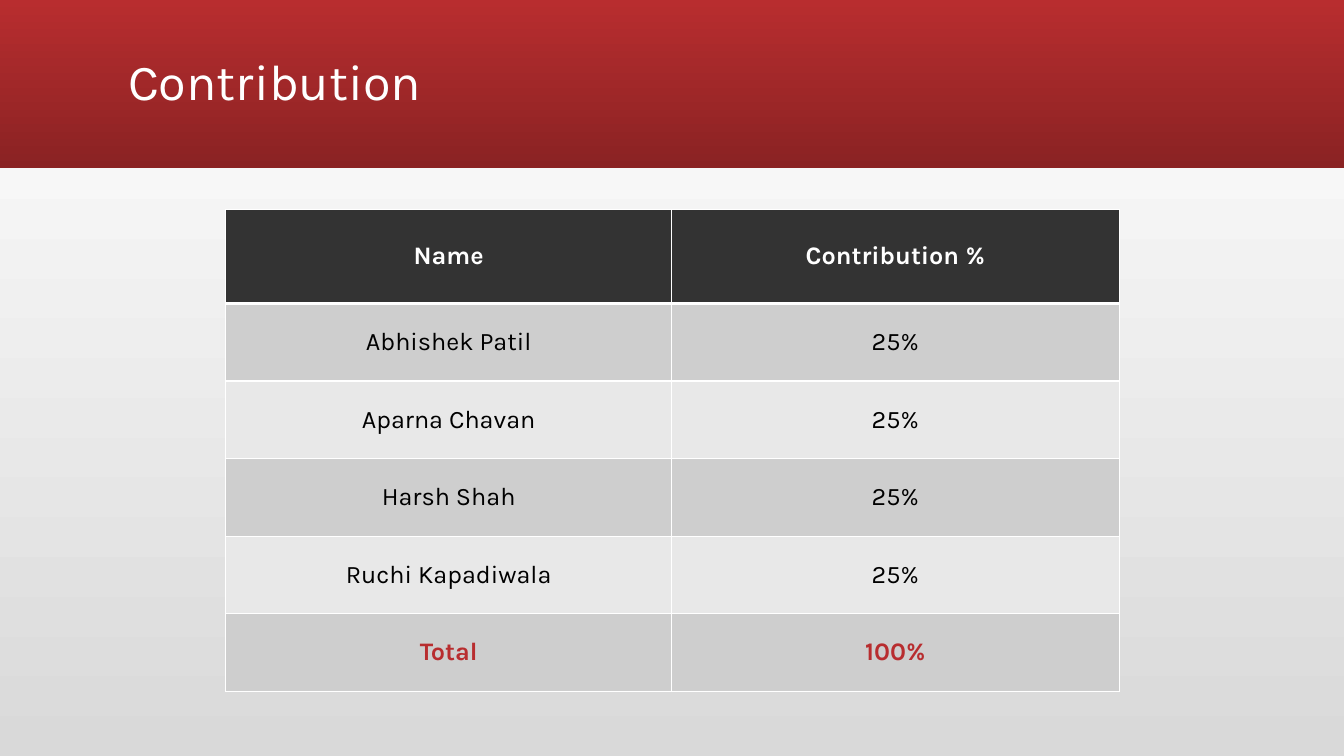
from dataclasses import dataclass

from lxml.etree import SubElement
from pptx import Presentation
from pptx.dml.color import RGBColor as RGB
from pptx.enum.shapes import MSO_SHAPE as Shape
from pptx.enum.text import MSO_ANCHOR as Anchor, MSO_AUTO_SIZE as AutoSize, PP_ALIGN as Align
from pptx.oxml.ns import qn
from pptx.util import Inches, Pt


@dataclass(frozen=True)
class Theme:
    font: str = "Karla"
    title_size: int = 36
    table_size: int = 18
    white: str = "FFFFFF"
    black: str = "000000"
    red: str = "B82D2F"
    dark_red: str = "8A2223"
    backdrop: str = "D9D9D9"
    header: str = "333333"
    bands: tuple = ("CECECE", "E8E8E8")
    rule: float = 1
    header_rule: float = 3


class SlideBuilder:
    def __init__(self, slide, theme):
        self.slide = slide
        self.theme = theme

    def gradient(self, fill, colours, angle):
        fill.gradient()
        fill.gradient_angle = angle
        for stop, colour in zip(fill.gradient_stops, colours):
            stop.color.rgb = RGB.from_string(colour)

    def style_text(self, paragraph, size, colour, bold=False):
        for run in paragraph.runs:
            run.font.name = self.theme.font
            run.font.size = Pt(size)
            run.font.bold = bold
            run.font.color.rgb = RGB.from_string(colour)

    def background(self):
        self.gradient(self.slide.background.fill, (self.theme.backdrop, self.theme.white), 90)

    def banner(self, width, height):
        banner = self.slide.shapes.add_shape(Shape.RECTANGLE, 0, 0, width, height)
        banner.shadow.inherit = False
        banner.line.fill.background()
        self.gradient(banner.fill, (self.theme.red, self.theme.dark_red), 270)
        self.slide.shapes.title._element.addprevious(banner._element)

    def title(self, text, left, top, width, height):
        title = self.slide.shapes.title
        title.left, title.top, title.width, title.height = left, top, width, height
        frame = title.text_frame
        frame.text = text
        frame.auto_size = AutoSize.NONE
        frame.vertical_anchor = Anchor.MIDDLE
        heading = frame.paragraphs[0]
        heading.alignment = Align.LEFT
        heading.line_spacing = 0.9
        self.style_text(heading, self.theme.title_size, self.theme.white)

    def borders(self, cell, top, bottom):
        properties = cell._tc.get_or_add_tcPr()
        widths = {"a:lnL": self.theme.rule, "a:lnR": self.theme.rule, "a:lnT": top, "a:lnB": bottom}
        for position, (side, width) in enumerate(widths.items()):
            line = SubElement(properties, qn(side), w=str(Pt(width)))
            colour_fill = SubElement(line, qn("a:solidFill"))
            SubElement(colour_fill, qn("a:srgbClr"), val=self.theme.white)
            properties.insert(position, line)

    def cell(self, cell, text, fill, colour, bold):
        cell.text_frame.text = text
        cell.vertical_anchor = Anchor.MIDDLE
        cell.fill.solid()
        cell.fill.fore_color.rgb = RGB.from_string(fill)
        paragraph = cell.text_frame.paragraphs[0]
        paragraph.alignment = Align.CENTER
        self.style_text(paragraph, self.theme.table_size, colour, bold)

    def table(self, records, left, top, column_widths, row_heights):
        theme = self.theme
        table = self.slide.shapes.add_table(
            len(records), len(column_widths), left, top, sum(column_widths), sum(row_heights)
        ).table
        for column, width in zip(table.columns, column_widths):
            column.width = width
        last = len(records) - 1
        for index, record in enumerate(records):
            table.rows[index].height = row_heights[index]
            fill = theme.bands[(index - 1) % 2] if index else theme.header
            colour = {0: theme.white, last: theme.red}.get(index, theme.black)
            upper = theme.header_rule if index == 1 else theme.rule
            lower = theme.header_rule if index == 0 else theme.rule
            for cell, text in zip(table.rows[index].cells, record):
                self.cell(cell, text, fill, colour, index in (0, last))
                self.borders(cell, upper, lower)


def main():
    deck = Presentation()
    deck.slide_width, deck.slide_height = Inches(13.33), Inches(7.5)
    title_only = deck.slide_layouts[5]
    builder = SlideBuilder(deck.slides.add_slide(title_only), Theme())

    members = ["Abhishek Patil", "Aparna Chavan", "Harsh Shah", "Ruchi Kapadiwala"]
    contributions = [
        ("Name", "Contribution %"),
        *((member, "25%") for member in members),
        ("Total", "100%"),
    ]

    builder.background()
    builder.banner(deck.slide_width, Inches(1.67))
    builder.title("Contribution", Inches(1.17), Inches(0.11), Inches(11), Inches(1.45))
    builder.table(
        contributions,
        Inches(2.24),
        Inches(2.08),
        [Inches(4.42), Inches(4.44)],
        [Inches(0.93)] + [Inches(0.77)] * (len(contributions) - 1),
    )
    deck.save("out.pptx")


if __name__ == "__main__":
    main()
